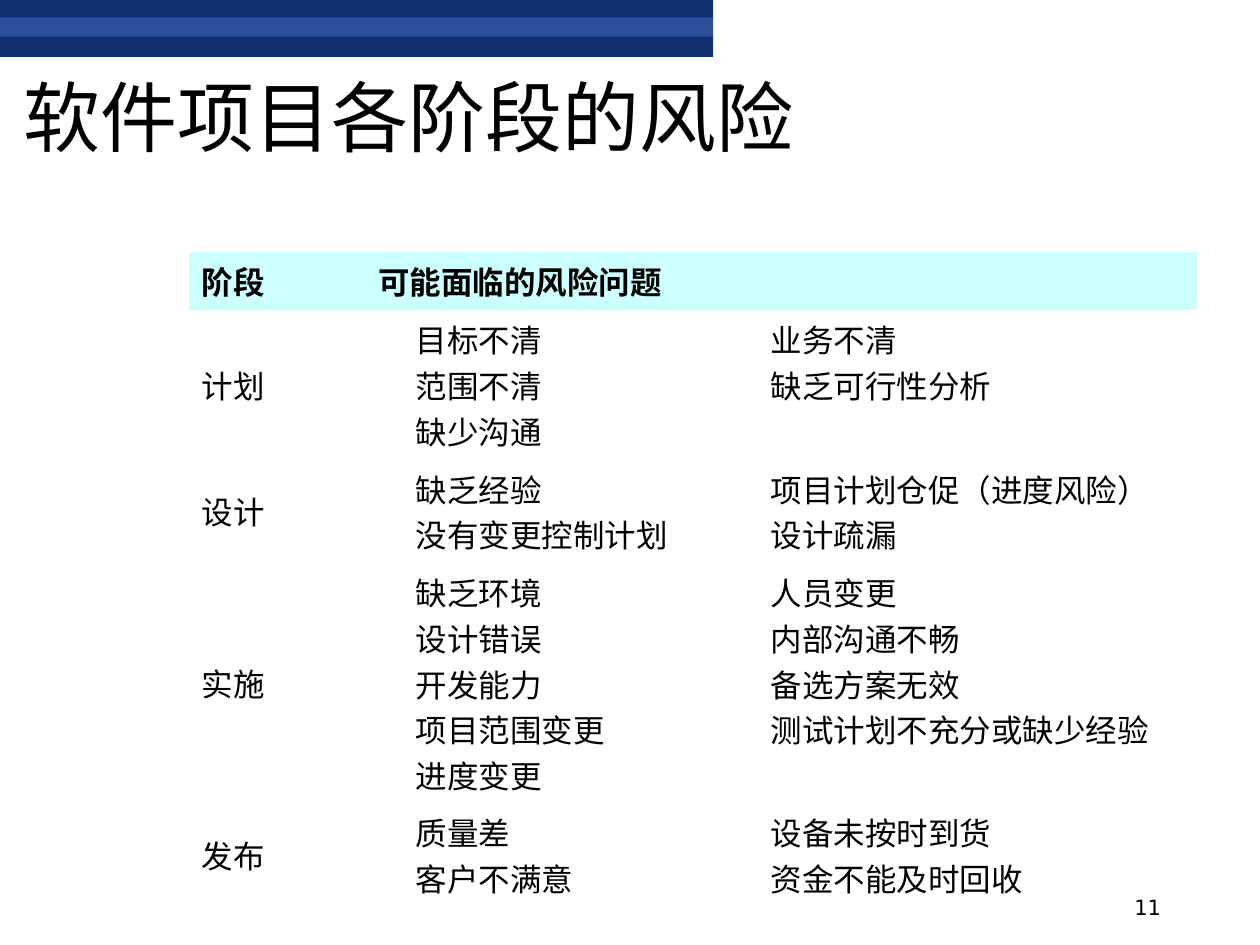
from lxml.etree import SubElement
from pptx import Presentation
from pptx.dml.color import RGBColor
from pptx.enum.shapes import MSO_SHAPE
from pptx.enum.text import MSO_ANCHOR, PP_ALIGN
from pptx.oxml.ns import qn
from pptx.util import Pt

# Content
TITLE = "软件项目各阶段的风险"
PAGE_NUMBER = "11"
HEADINGS = ["阶段", "可能面临的风险问题"]
PHASES = [
    ("计划", ["目标不清", "范围不清", "缺少沟通"],
     ["业务不清", "缺乏可行性分析"]),
    ("设计", ["缺乏经验", "没有变更控制计划"],
     ["项目计划仓促（进度风险）", "设计疏漏"]),
    ("实施", ["缺乏环境", "设计错误", "开发能力", "项目范围变更", "进度变更"],
     ["人员变更", "内部沟通不畅", "备选方案无效", "测试计划不充分或缺少经验"]),
    ("发布", ["质量差", "客户不满意"],
     ["设备未按时到货", "资金不能及时回收"]),
]

# Layout, in points
BANDS = [(0, 10.5, "123070"), (10, 11.5, "2B4F9D"), (21, 11.5, "123070")]
BAND_WIDTH = 407.5
COLUMN_WIDTHS = [101, 203, 272]
LINE_HEIGHT, ROW_PADDING = 26, 7.25
LINE_COUNTS = [1] + [max(len(left), len(right)) for _, left, right in PHASES]
ROW_HEIGHTS = [count * LINE_HEIGHT + ROW_PADDING for count in LINE_COUNTS]
MARGIN = 27
HANGING, BULLETLESS = -27, -5.75  # first-line indents


def color(hex_code):
    return RGBColor.from_string(hex_code)


def add_run(paragraph, text, size, font, bold=False):
    run = paragraph.add_run()
    run.text = text
    run.font.size = Pt(size)
    run.font.name = font
    run.font.bold = bold
    run.font.color.rgb = color("000000")


def add_line(left, top, width, height, text, size, font):
    frame = slide.shapes.add_textbox(Pt(left), Pt(top), Pt(width), Pt(height)).text_frame
    frame.word_wrap = True
    frame.vertical_anchor = MSO_ANCHOR.BOTTOM
    paragraph = frame.paragraphs[0]
    add_run(paragraph, text, size, font)
    return paragraph


def fill_cell(cell, lines, indent, anchor=MSO_ANCHOR.TOP, bold=False):
    cell.vertical_anchor = anchor
    frame = cell.text_frame
    for i, line in enumerate(lines):
        paragraph = frame.add_paragraph() if i else frame.paragraphs[0]
        properties = paragraph._p.get_or_add_pPr()
        properties.set("marL", str(Pt(MARGIN)))
        properties.set("indent", str(Pt(indent)))
        add_run(paragraph, line, 18, "Times New Roman", bold)


def style_cell(cell, fill=None):
    properties = cell._tc.get_or_add_tcPr()
    for side in ("a:lnL", "a:lnR", "a:lnT", "a:lnB"):
        border = SubElement(properties, qn(side), w="0")
        SubElement(border, qn("a:noFill"))
    if fill:
        cell.fill.solid()
        cell.fill.fore_color.rgb = color(fill)
    else:
        cell.fill.background()


prs = Presentation()
prs.slide_width, prs.slide_height = Pt(720), Pt(540)
slide = prs.slides.add_slide(prs.slide_layouts[6])

# Top bands
for top, height, fill in BANDS:
    band = slide.shapes.add_shape(MSO_SHAPE.RECTANGLE, 0, Pt(top), Pt(BAND_WIDTH), Pt(height))
    band.shadow.inherit = False
    band.fill.solid()
    band.fill.fore_color.rgb = color(fill)
    band.line.fill.background()

# Page number and title
add_line(508.5, 500.5, 162, 28.5, PAGE_NUMBER, 12, "DejaVu Sans").alignment = PP_ALIGN.RIGHT
add_line(6.5, 42, 587.5, 54.5, TITLE, 44, "Calibri").line_spacing = 0.9

# Risk table
risks = slide.shapes.add_table(
    len(ROW_HEIGHTS), len(COLUMN_WIDTHS), Pt(108), Pt(144),
    Pt(sum(COLUMN_WIDTHS)), Pt(sum(ROW_HEIGHTS))).table
risks.first_row = risks.horz_banding = False
for column, width in zip(risks.columns, COLUMN_WIDTHS):
    column.width = Pt(width)
for r, height in enumerate(ROW_HEIGHTS):
    risks.rows[r].height = Pt(height)
    for cell in risks.rows[r].cells:
        style_cell(cell, None if r else "CCFFFF")

risks.cell(0, 1).merge(risks.cell(0, 2))
for c, heading in enumerate(HEADINGS):
    fill_cell(risks.cell(0, c), [heading], HANGING, bold=True)
for r, (phase, *risk_lists) in enumerate(PHASES, 1):
    fill_cell(risks.cell(r, 0), [phase], HANGING, MSO_ANCHOR.MIDDLE)
    for c, risk_list in enumerate(risk_lists, 1):
        fill_cell(risks.cell(r, c), risk_list, BULLETLESS)

prs.save("out.pptx")
